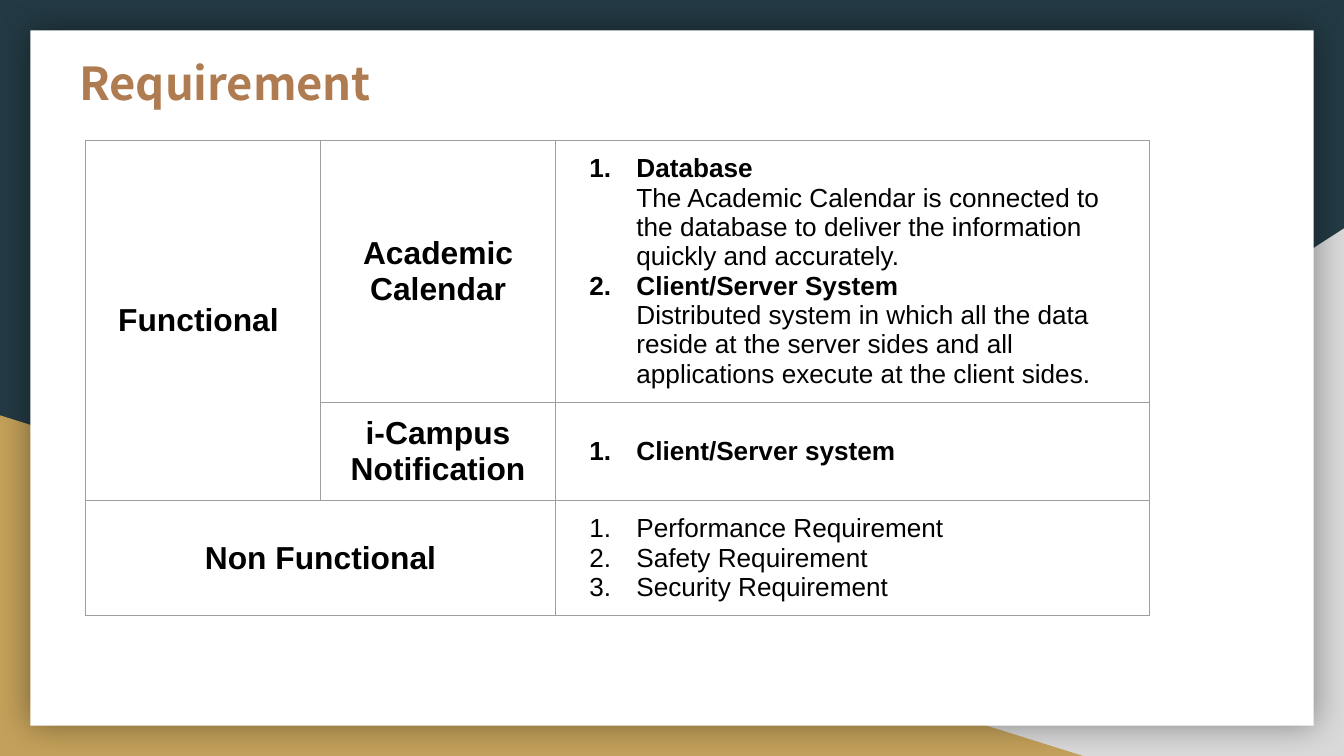
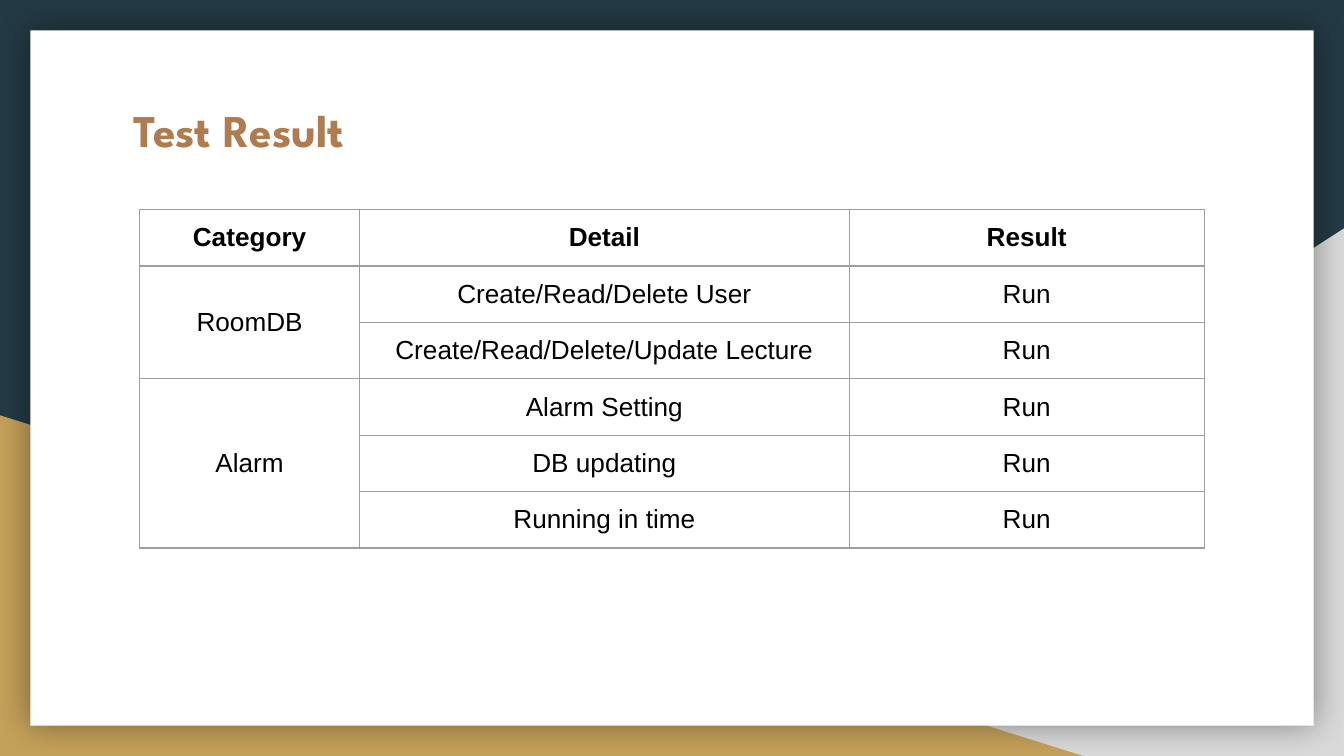
from copy import deepcopy

from lxml import etree
from pptx import Presentation
from pptx.dml.color import RGBColor
from pptx.enum.shapes import MSO_SHAPE
from pptx.enum.text import MSO_ANCHOR, PP_ALIGN
from pptx.oxml.ns import qn
from pptx.util import Pt

EMU = 4572
WIDE, HIGH = 2000, 1125
PAD = 20
LEFT, CENTER = PP_ALIGN.LEFT, PP_ALIGN.CENTER
TOP, MIDDLE = MSO_ANCHOR.TOP, MSO_ANCHOR.MIDDLE
RECT, WEDGE = MSO_SHAPE.RECTANGLE, MSO_SHAPE.RIGHT_TRIANGLE
COLORS = {
    "navy": "233A44",
    "gray": "D9D9D9",
    "gold": "C4A15A",
    "white": "FFFFFF",
    "title": "AF7B51",
    "ink": "000000",
    "rule": "9E9E9E",
}


def px(n):
    return n * EMU


def rgb(name):
    return RGBColor.from_string(COLORS[name])


def node(parent, tag, **attrs):
    item = etree.SubElement(parent, qn(tag))
    for key, val in attrs.items():
        item.set(key, str(val))
    return item


def tint(parent, name):
    return node(parent, "a:srgbClr", val=COLORS[name])


def inset(item):
    item.margin_left = item.margin_right = px(PAD)
    item.margin_top = item.margin_bottom = px(PAD)


def number(para):
    props = para._p.get_or_add_pPr()
    props.set("marL", str(px(100)))
    props.set("indent", str(px(-70)))
    tint(node(props, "a:buClr"), "ink")
    node(props, "a:buFont", typeface="Arial")
    node(props, "a:buAutoNum", type="arabicPeriod")


def write(frame, lines, size=14, font="Arial", color="ink", bold=False,
          align=LEFT, listed=False):
    for i, line in enumerate(lines):
        para = frame.add_paragraph() if i else frame.paragraphs[0]
        if listed:
            number(para)
        para.alignment = align
        para.space_before = Pt(0)
        parts = [line] if isinstance(line, str) else line
        for j, part in enumerate(parts):
            if j:
                para.add_line_break()
                para._p[-1].append(deepcopy(run._r.rPr))
            run = para.add_run()
            run.text = part
            run.font.size = Pt(size)
            run.font.name = font
            run.font.bold = bold and j == 0
            run.font.color.rgb = rgb(color)


class Deck:
    def __init__(self):
        self.prs = Presentation()
        self.prs.slide_width = px(WIDE)
        self.prs.slide_height = px(HIGH)
        self.layout = self.prs.slide_layouts[5]
        self.slide = None

    def page(self, text, left, top, font):
        self.slide = self.prs.slides.add_slide(self.layout)
        title = self.slide.shapes.title
        title.left, title.top = px(left), px(top)
        title.width, title.height = px(1642), px(126)
        frame = title.text_frame
        frame.word_wrap = True
        frame.vertical_anchor = MIDDLE
        inset(frame)
        write(frame, [text], size=24.3, font=font, color="title", bold=True)

    def shape(self, kind, box, color):
        item = self.slide.shapes.add_shape(kind, *map(px, box))
        item.fill.solid()
        item.fill.fore_color.rgb = rgb(color)
        item.line.fill.background()
        item.shadow.inherit = False
        return item

    def backdrop(self):
        fill = self.layout.background.fill
        fill.solid()
        fill.fore_color.rgb = rgb("navy")
        right = self.shape(WEDGE, (784, 340, WIDE - 784, HIGH - 340), "gray")
        right.element.spPr.xfrm.set("flipH", "1")
        left = self.shape(WEDGE, (0, 618, 1612, HIGH - 618), "gold")
        card = self.shape(RECT, (45, 45, WIDE - 90, HIGH - 90), "white")
        glow = node(card.element.spPr.find(qn("a:effectLst")), "a:outerShdw",
                    blurRad=Pt(18), dist=0, dir=0, algn="ctr", rotWithShape=0)
        node(tint(glow, "ink"), "a:alpha", val=40000)
        tree = self.layout.shapes.element
        for i, item in enumerate((right, left, card)):
            item.element.nvSpPr.cNvPr.set("id", str(20 + i))
            tree.insert(2 + i, item.element)

    def table(self, left, top, cols, rows, spans):
        box = map(px, (left, top, sum(cols), sum(rows)))
        grid = self.slide.shapes.add_table(len(rows), len(cols), *box).table
        grid.first_row = grid.horz_banding = False
        for col, width in zip(grid.columns, cols):
            col.width = px(width)
        for row, height in zip(grid.rows, rows):
            row.height = px(height)
        for cell in grid.iter_cells():
            inset(cell)
            props = cell._tc.get_or_add_tcPr()
            for side in "LRTB":
                line = node(props, "a:ln" + side, w=Pt(0.75))
                tint(node(line, "a:solidFill"), "rule")
            cell.fill.background()
        for start, end in spans:
            grid.cell(*start).merge(grid.cell(*end))
        return grid

    def cell(self, grid, row, col, lines, anchor=MIDDLE, **fmt):
        cell = grid.cell(row, col)
        cell.vertical_anchor = anchor
        write(cell.text_frame, lines, **fmt)


def needs(deck):
    deck.page("Requirement", 98, 59, "Noto Sans CJK KR")
    deck.backdrop()
    grid = deck.table(127, 209, (350, 350, 884), (390, 146, 171),
                      [((0, 0), (1, 0)), ((2, 0), (2, 1))])
    heads = {
        (0, 0): ["Functional "],
        (0, 1): ["Academic", "Calendar"],
        (1, 1): ["i-Campus", "Notification"],
        (2, 0): ["Non Functional"],
    }
    for spot, lines in heads.items():
        deck.cell(grid, *spot, lines, size=17, bold=True, align=CENTER)
    items = [
        [("Database", "The Academic Calendar is connected to the database "
          "to deliver the information quickly and accurately."),
         ("Client/Server System", "Distributed system in which all the data "
          "reside at the server sides and all applications execute at the "
          "client sides.")],
        ["Client/Server system"],
        ["Performance Requirement", "Safety Requirement",
         "Security Requirement"],
    ]
    for row, lines in enumerate(items):
        deck.cell(grid, row, 2, lines, bold=row < 2, listed=True)


def tests(deck):
    deck.page("Test Result", 179, 129, "League Spartan")
    rows = [
        ("Category", "Detail", "Result"),
        ("RoomDB", "Create/Read/Delete User", "Run"),
        (None, "Create/Read/Delete/Update Lecture", "Run"),
        ("Alarm", "Alarm Setting", "Run"),
        (None, "DB updating", "Run"),
        (None, "Running in time", "Run"),
    ]
    grid = deck.table(208, 312, (327, 729, 528), [84] * len(rows),
                      [((1, 0), (2, 0)), ((3, 0), (5, 0))])
    for i, row in enumerate(rows):
        for j, text in enumerate(row):
            if text:
                deck.cell(grid, i, j, [text], bold=i == 0, align=CENTER,
                          anchor=MIDDLE if i else TOP)


def main():
    deck = Deck()
    needs(deck)
    tests(deck)
    deck.prs.save("out.pptx")


if __name__ == "__main__":
    main()
